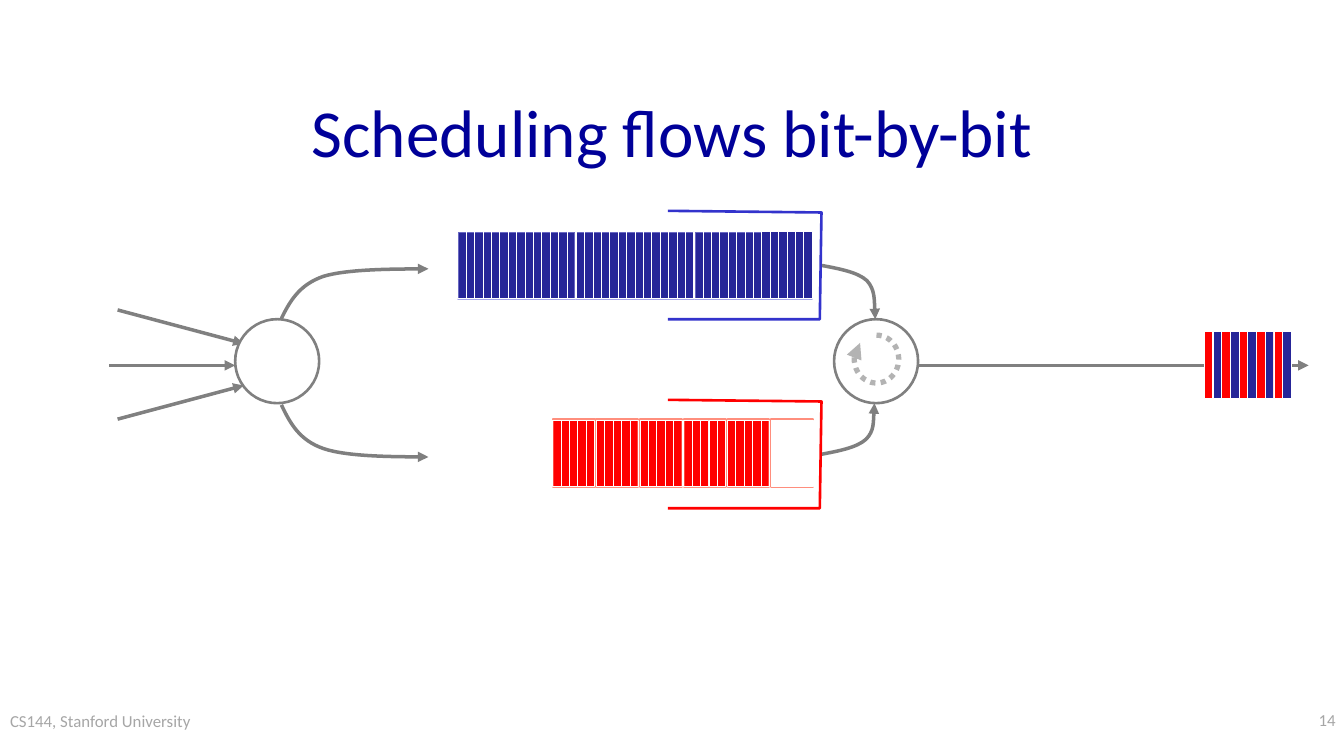
from dataclasses import dataclass

from lxml import etree
from pptx import Presentation, util as u
from pptx.dml.color import RGBColor
from pptx.enum import dml, shapes, text
from pptx.oxml import ns


@dataclass(frozen=True)
class Theme:
    font: str = "Calibri"
    head: float = 57.6
    small: float = 14.4
    title: str = "000099"
    note: str = "A6A6A6"
    gray: str = "808080"
    curve: str = "7F7F7F"
    spin: str = "B3B3B3"
    white: str = "FFFFFF"
    blue: str = "262598"
    pale: str = "A5A5E9"
    frame: str = "3333CC"
    red: str = "FF0000"
    pink: str = "FF8E7D"


class Deck:
    def __init__(self, theme):
        self.theme = theme
        self.prs = Presentation()
        self.prs.slide_width, self.prs.slide_height = u.Inches(16), u.Inches(9)
        self.slide = self.prs.slides.add_slide(self.prs.slide_layouts[5])
        self.items = self.slide.shapes

    def fill_text(self, box, words, size, color, align):
        frame = box.text_frame
        frame.word_wrap = True
        frame.text = words
        para = frame.paragraphs[0]
        para.alignment = align
        font = para.runs[0].font
        font.name, font.size = self.theme.font, u.Pt(size)
        font.color.rgb = RGBColor.from_string(color)

    def title(self, words, area):
        box = self.items.title
        box.left, box.top, box.width, box.height = map(u.Inches, area)
        box.text_frame.vertical_anchor = text.MSO_ANCHOR.MIDDLE
        self.fill_text(box, words, self.theme.head, self.theme.title,
                       text.PP_ALIGN.CENTER)

    def label(self, words, area, align, pad=0.1):
        box = self.items.add_textbox(*map(u.Inches, area))
        frame = box.text_frame
        frame.margin_left = frame.margin_right = u.Inches(pad)
        frame.margin_top = frame.margin_bottom = u.Inches(pad / 2)
        self.fill_text(box, words, self.theme.small, self.theme.note, align)

    def stroke(self, item, color, width, arrow=False):
        item.line.color.rgb = RGBColor.from_string(color)
        item.line.width = u.Pt(width)
        if arrow:
            line = item._element.spPr.find(ns.qn("a:ln"))
            etree.SubElement(line, ns.qn("a:tailEnd")).set("type", "triangle")

    def arrow(self, start, end):
        line = self.items.add_connector(
            shapes.MSO_CONNECTOR.STRAIGHT, *map(u.Inches, (*start, *end)))
        self.stroke(line, self.theme.gray, 3, True)
        etree.SubElement(line._element.spPr, ns.qn("a:effectLst"))

    def shape(self, kind, area, fill, color, width, alpha=None):
        item = self.items.add_shape(kind, *map(u.Inches, area))
        item.shadow.inherit = False
        item.fill.solid()
        item.fill.fore_color.rgb = RGBColor.from_string(fill)
        if alpha:
            tint = item._element.spPr.find(".//" + ns.qn("a:srgbClr"))
            etree.SubElement(tint, ns.qn("a:alpha")).set("val", str(alpha * 1000))
        self.stroke(item, color, width)

    def node(self, left):
        self.shape(shapes.MSO_SHAPE.OVAL, (left, 3.8, 1, 1),
                   self.theme.white, self.theme.gray, 2.25)

    def block(self, area, fill, color):
        self.shape(shapes.MSO_SHAPE.RECTANGLE, area, fill, color, 1.5)

    def bit(self, left, top, fill, alpha=None):
        self.shape(shapes.MSO_SHAPE.RECTANGLE, (left, top, 0.1, 0.79),
                   fill, self.theme.white, 0.75, alpha)

    def spin(self, area):
        item = self.items.add_shape(shapes.MSO_SHAPE.ARC, *map(u.Inches, area))
        item.shadow.inherit = False
        item.adjustments[0], item.adjustments[1] = 162, 134.75
        item.fill.background()
        item.line.dash_style = dml.MSO_LINE.ROUND_DOT
        self.stroke(item, self.theme.spin, 4.5, True)

    def outline(self, points, color, width, arrow=False):
        spots = [(u.Inches(x), u.Inches(y)) for x, y in points]
        pen = self.items.build_freeform(*spots[0])
        pen.add_line_segments(spots[1:], close=False)
        item = pen.convert_to_shape()
        item.shadow.inherit = False
        item.fill.background()
        self.stroke(item, color, width, arrow)
        return item

    def curve(self, points):
        item = self.outline(points, self.theme.curve, 3, True)
        steps = list(item._element.iter(ns.qn("a:lnTo")))
        for k in range(0, len(steps), 3):
            bend = etree.Element(ns.qn("a:cubicBezTo"))
            steps[k].addprevious(bend)
            for step in steps[k:k + 3]:
                bend.append(step[0])
                step.getparent().remove(step)

    def queue(self, top, color):
        self.outline([(7.95, top), (9.78, top + 0.02), (9.76, top + 1.29),
                      (7.95, top + 1.29)], color, 2.25)


def main():
    look = Theme()
    deck = Deck(look)
    deck.label("CS144, Stanford University", (0, 8.4, 3.87, 0.6),
               text.PP_ALIGN.LEFT, 0.12)
    deck.title("Scheduling flows bit-by-bit", (1.2, 0.8, 13.6, 1.5))
    deck.label("14", (12.67, 8.4, 3.33, 0.6), text.PP_ALIGN.RIGHT)

    deck.arrow((1.3, 4.35), (2.8, 4.35))
    deck.arrow((1.4, 4.99), (2.9, 4.59))
    deck.arrow((1.4, 3.69), (2.9, 4.09))
    deck.node(2.8)
    deck.curve([(9.78, 3.16), (9.99, 3.2), (10.21, 3.24), (10.32, 3.34),
                (10.42, 3.45), (10.42, 3.8), (10.42, 3.8)])
    deck.curve([(3.35, 4.82), (3.45, 5.03), (3.56, 5.24), (3.85, 5.34),
                (4.14, 5.44), (5.1, 5.44), (5.1, 5.44)])
    deck.queue(2.51, look.frame)
    deck.node(9.93)
    deck.spin((10.17, 3.99, 0.53, 0.57))
    deck.curve([(9.77, 5.41), (9.98, 5.37), (10.2, 5.33), (10.31, 5.23),
                (10.41, 5.13), (10.41, 4.8), (10.41, 4.8)])
    deck.arrow((10.93, 4.35), (15.58, 4.35))
    deck.curve([(3.35, 3.79), (3.45, 3.59), (3.56, 3.39), (3.85, 3.29),
                (4.14, 3.2), (5.1, 3.2), (5.1, 3.2)])

    reds = [6.58 + 0.52 * k for k in range(6)]
    for left in reversed(reds):
        deck.block((left, 4.99, 0.5, 0.81), look.red, look.pink)
    for left in reds[:-1]:
        for k in range(5):
            deck.bit(left + 0.1 * k, 5, look.red, 47)

    blues = [5.45 + 1.41 * k for k in range(3)]
    for left in reversed(blues):
        deck.block((left, 2.76, 1.4, 0.8), look.blue, look.pale)
    for left in blues:
        for k in range(14):
            solid = left == blues[-1] and k > 7
            deck.bit(left + 0.1 * k, 2.76, look.blue, None if solid else 47)

    deck.queue(4.76, look.red)
    for k in range(5):
        deck.bit(9.18 + 0.1 * k, 5, look.white)
    for k in range(10):
        deck.bit(14.34 + 0.93 * k / 9, 3.95, look.blue if k % 2 else look.red)

    deck.prs.save("out.pptx")


if __name__ == "__main__":
    main()
